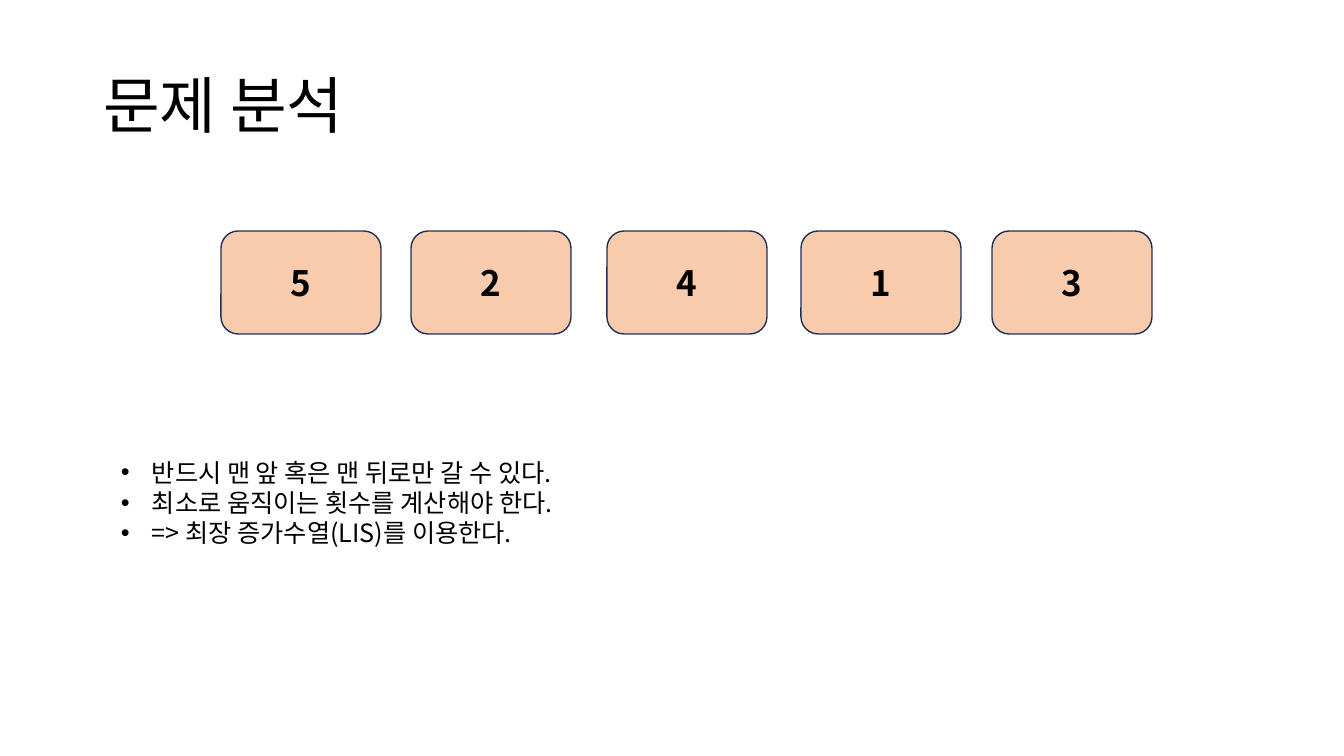
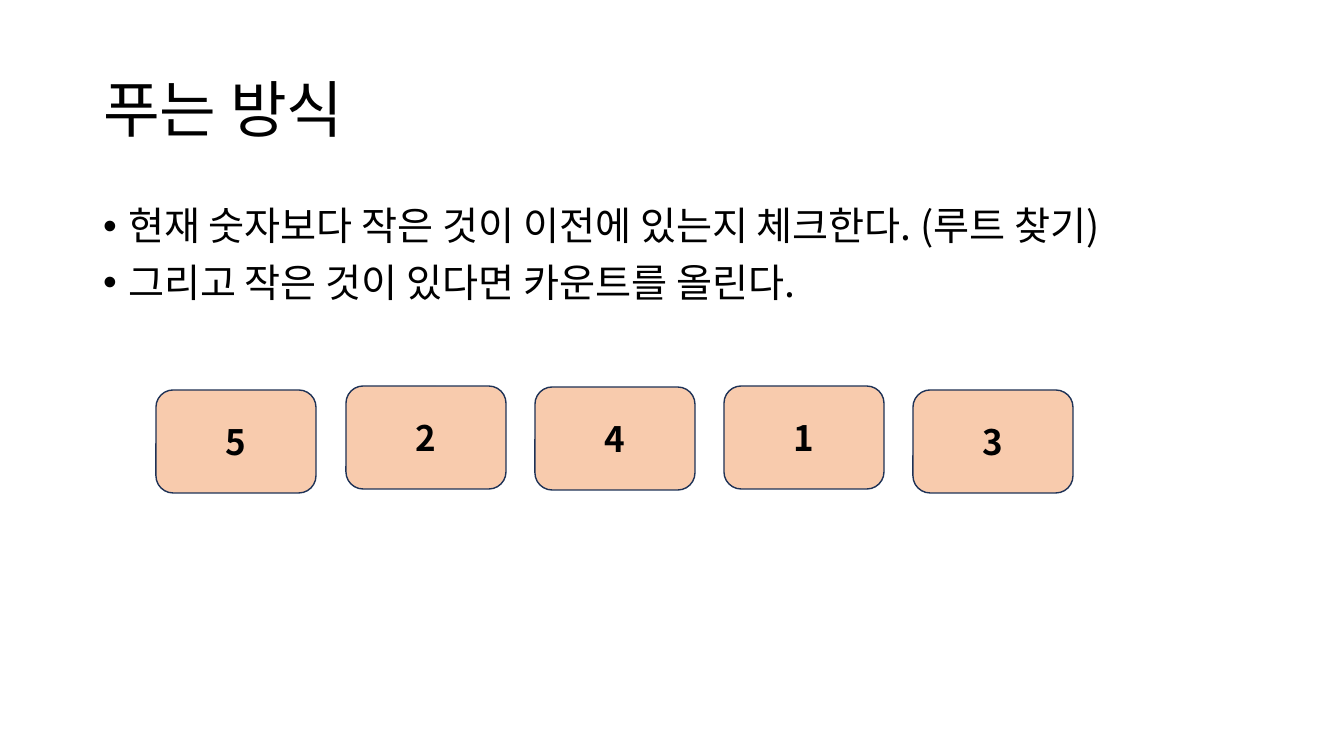
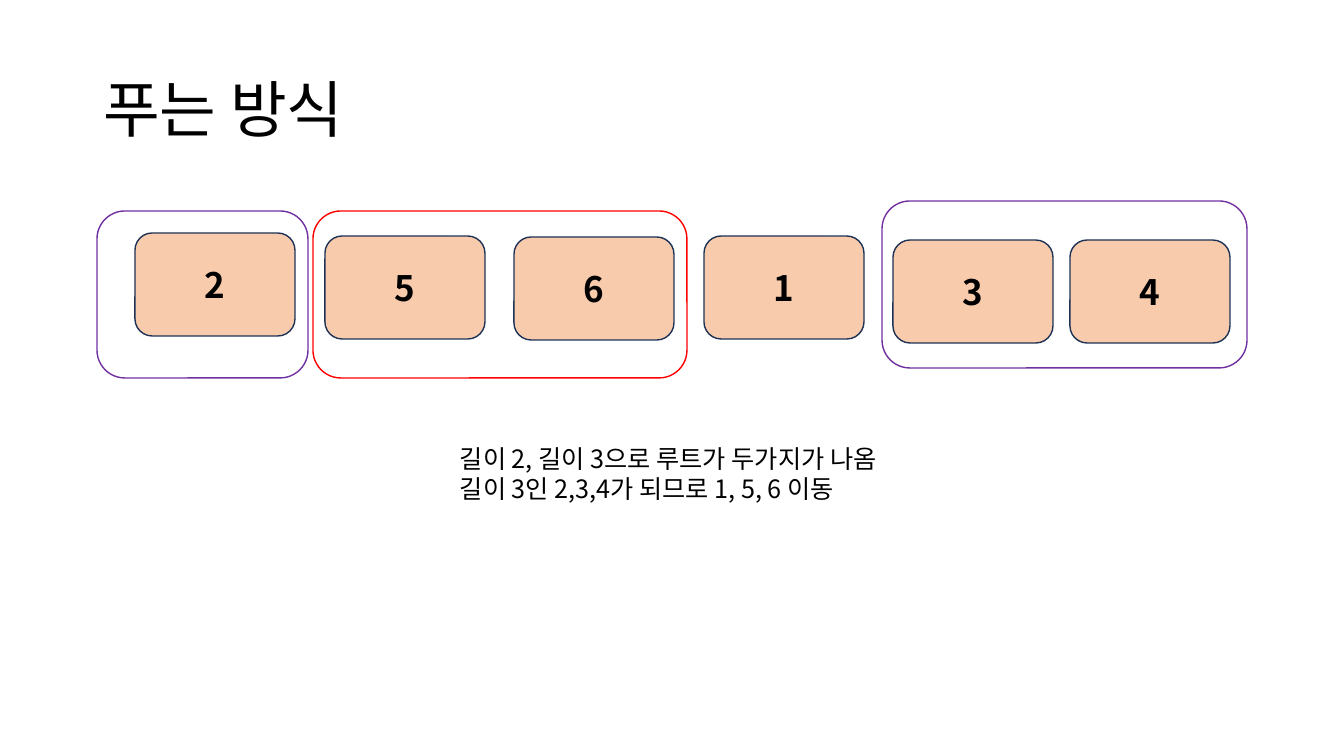
import pptx
import pptx.util
import pptx.dml.color
import pptx.enum.shapes
import pptx.enum.text
import pptx.oxml.ns
import lxml.etree

PX = 9144000 / 1008
FONT = "Noto Sans CJK KR"
INK, PEACH, NAVY = "000000", "F8CBAD", "1E3256"
RED, PURPLE = "FF0000", "7030A0"
CARD_W, CARD_H = 160, 103
ALIGN = pptx.enum.text.PP_ALIGN
ANCHOR = pptx.enum.text.MSO_ANCHOR
FIT = pptx.enum.text.MSO_AUTO_SIZE


def box(*lengths):
    """Turn pixel lengths into EMU."""
    return [round(length * PX) for length in lengths]


def write(frame, lines, size=18, bold=False, align=ALIGN.LEFT, anchor=ANCHOR.TOP,
          fit=FIT.NONE, spacing=None, before=0, bullet_indent=0):
    """Fill a text frame with one formatted paragraph per line."""
    frame.word_wrap = True
    frame.auto_size = fit
    frame.vertical_anchor = anchor
    frame.text = "\n".join(lines)
    for paragraph in frame.paragraphs:
        paragraph.alignment = align
        paragraph.line_spacing = spacing
        paragraph.space_before = pptx.util.Pt(before)
        if bullet_indent:
            properties = paragraph._p.get_or_add_pPr()
            indent = round(bullet_indent * PX)
            properties.set("marL", str(indent))
            properties.set("indent", str(-indent))
            lxml.etree.SubElement(properties, pptx.oxml.ns.qn("a:buFont")).set("typeface", "Arial")
            lxml.etree.SubElement(properties, pptx.oxml.ns.qn("a:buChar")).set("char", "•")
        for run in paragraph.runs:
            run.font.size = pptx.util.Pt(size)
            run.font.bold = bold
            run.font.color.rgb = pptx.dml.color.RGBColor.from_string(INK)
            run.font.name = FONT
            east_asian = lxml.etree.SubElement(run.font._element, pptx.oxml.ns.qn("a:ea"))
            east_asian.set("typeface", FONT)


deck = pptx.Presentation()
deck.slide_width = pptx.util.Inches(13.333)
deck.slide_height = pptx.util.Inches(7.5)
TITLE_AND_BODY, TITLE_ONLY = deck.slide_layouts[1], deck.slide_layouts[5]

# Each slide: layout, title, title top, number cards (number, left, top),
# route outlines (colour, left, top, width, height)
pages = [
    (TITLE_ONLY, "문제 분석", 36,
     [("5", 221, 231), ("2", 411, 231), ("4", 607, 231), ("1", 801, 231), ("3", 992, 231)],
     []),
    (TITLE_AND_BODY, "푸는 방식", 40,
     [("5", 156, 390), ("2", 346, 386), ("4", 535, 387), ("1", 724, 386), ("3", 913, 390)],
     []),
    (TITLE_ONLY, "푸는 방식", 40,
     [("2", 135, 233), ("5", 325, 236), ("6", 514, 237), ("1", 704, 236), ("3", 893, 240),
      ("4", 1070, 240)],
     [(RED, 313, 211, 374, 167), (PURPLE, 97, 211, 211, 167), (PURPLE, 882, 201, 365, 167)]),
]

for layout, heading, heading_top, cards, routes in pages:
    slide = deck.slides.add_slide(layout)
    title = slide.shapes.title
    title.left, title.top, title.width, title.height = box(93, heading_top, 1159, 146)
    write(title.text_frame, [heading], size=44, anchor=ANCHOR.MIDDLE, spacing=0.9)

    outlines = [(number, PEACH, NAVY, x, y, CARD_W, CARD_H) for number, x, y in cards]
    outlines += [("", None, colour, *place) for colour, *place in routes]
    for number, fill, line, *place in outlines:
        card = slide.shapes.add_shape(
            pptx.enum.shapes.MSO_SHAPE.ROUNDED_RECTANGLE, *box(*place))
        card.shadow.inherit = False
        card.line.color.rgb = pptx.dml.color.RGBColor.from_string(line)
        card.line.width = pptx.util.Pt(1)
        if fill:
            card.fill.solid()
            card.fill.fore_color.rgb = pptx.dml.color.RGBColor.from_string(fill)
            write(card.text_frame, [number], size=25, bold=True,
                  align=ALIGN.CENTER, anchor=ANCHOR.MIDDLE)
        else:
            card.fill.background()

analysis, method, result = deck.slides

conditions = analysis.shapes.add_textbox(*box(111, 452, 1091, 102))
write(conditions.text_frame,
      ["반드시 맨 앞 혹은 맨 뒤로만 갈 수 있다.",
       "최소로 움직이는 횟수를 계산해야 한다.",
       "=> 최장 증가수열(LIS)를 이용한다."],
      fit=FIT.SHAPE_TO_FIT_TEXT, bullet_indent=31)

steps = method.placeholders[1]
steps.left, steps.top, steps.width, steps.height = box(93, 202, 1159, 480)
write(steps.text_frame,
      ["현재 숫자보다 작은 것이 이전에 있는지 체크한다. (루트 찾기)",
       "그리고 작은 것이 있다면 카운트를 올린다."],
      size=28, spacing=0.9, before=10, bullet_indent=25)

conclusion = result.shapes.add_textbox(*box(450, 438, 524, 72))
write(conclusion.text_frame,
      ["길이 2, 길이 3으로 루트가 두가지가 나옴",
       "길이 3인 2,3,4가 되므로 1, 5, 6 이동"],
      fit=FIT.SHAPE_TO_FIT_TEXT)

deck.save("out.pptx")
